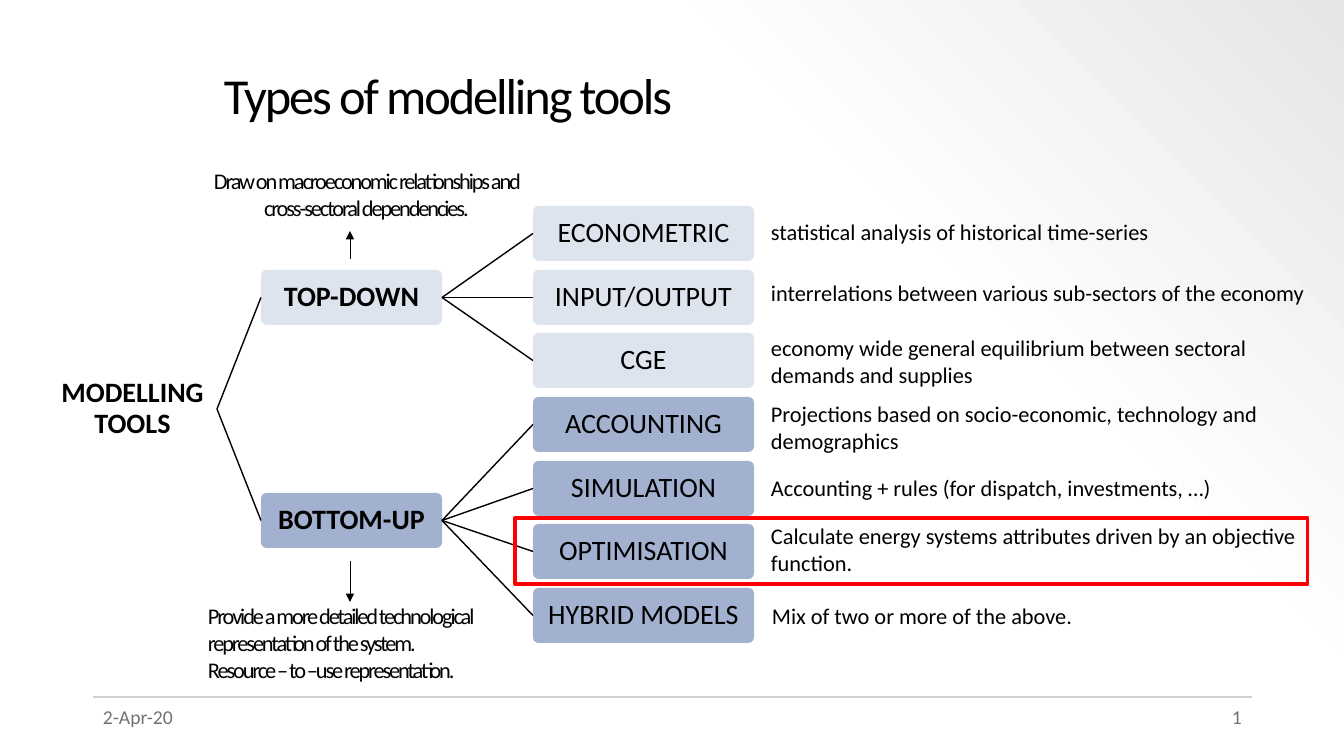
from pptx import Presentation
from pptx.dml.color import RGBColor
from pptx.enum.shapes import MSO_CONNECTOR as Link, MSO_SHAPE as Shape
from pptx.enum.text import MSO_ANCHOR as Anchor, MSO_AUTO_SIZE as AutoSize, PP_ALIGN as Align
from pptx.oxml import parse_xml
from pptx.oxml.ns import nsdecls, qn
from pptx.util import Pt
from lxml.etree import SubElement

EMU_PER_PIXEL = 914400 / 100.8
LEFT_SIDE, RIGHT_SIDE = 1, 3
BLACK, GREY, RULE_GREY, RED = "000000", "767171", "D0CECE", "FF0000"
WHITE, PALE_BLUE, MID_BLUE = "FFFFFF", "DEE4EE", "A1B1CF"

BRANCHES = [
    ("TOP-DOWN", 64, PALE_BLUE, ["ECONOMETRIC", "INPUT/OUTPUT", "CGE"]),
    ("BOTTOM-UP", 287, MID_BLUE,
     ["ACCOUNTING", "SIMULATION", "OPTIMISATION", "HYBRID MODELS"]),
]
DESCRIPTIONS = [
    (0, 0, 407, 27, "statistical analysis of historical time-series"),
    (0, 61, 565, 27, "interrelations between various sub-sectors of the economy"),
    (0, 116, 549, 54, "economy wide general equilibrium between sectoral demands and supplies"),
    (0, 182, 549, 54, "Projections based on socio-economic, technology and demographics"),
    (0, 256, 549, 27, "Accounting + rules (for dispatch, investments, …)"),
    (0, 304, 549, 54, "Calculate energy systems attributes driven by an objective function."),
    (1, 384, 549, 27, "Mix of two or more of the above."),
]


def px(*lengths):
    return [round(length * EMU_PER_PIXEL) for length in lengths]


def color(hex_value):
    return RGBColor.from_string(hex_value)


def apply(target, **values):
    for name, value in values.items():
        setattr(target, name, value)


def write(frame, lines, size, hex_value=BLACK, bold=False, align=Align.LEFT,
          leading=None, tracking=0, inset=(10, 0), anchor=Anchor.TOP):
    side, top = px(*inset)
    apply(frame, word_wrap=True, auto_size=AutoSize.NONE, vertical_anchor=anchor,
          margin_left=side, margin_right=side, margin_top=top, margin_bottom=top)
    for index, line in enumerate(lines):
        paragraph = frame.add_paragraph() if index else frame.paragraphs[0]
        apply(paragraph, alignment=align, line_spacing=leading)
        run = paragraph.add_run()
        run.text = line
        apply(run.font, name="Calibri", size=Pt(size), bold=bold)
        run.font.color.rgb = color(hex_value)
        if tracking:
            run.font._element.set("spc", str(round(tracking * 100)))


def add_text(slide, box, lines, size, **values):
    write(slide.shapes.add_textbox(*px(*box)).text_frame, lines, size, **values)


def add_line(slide, ends, hex_value, weight, arrow=False):
    line = slide.shapes.add_connector(Link.STRAIGHT, *px(*ends))
    line.line.color.rgb = color(hex_value)
    line.line.width = Pt(weight)
    if arrow:
        SubElement(line.line._get_or_add_ln(), qn("a:tailEnd"), type="triangle")
    SubElement(line._element.spPr, qn("a:effectLst"))
    return line


def add_node(slide, box, label, fill, bold=False):
    node = slide.shapes.add_shape(Shape.ROUNDED_RECTANGLE, *px(*box))
    node.adjustments[0] = 0.1
    node.shadow.inherit = False
    node.fill.solid()
    node.fill.fore_color.rgb = color(fill)
    node.line.fill.background()
    write(node.text_frame, [label], 20, bold=bold, align=Align.CENTER,
          leading=0.9, inset=(3, 3), anchor=Anchor.MIDDLE)
    return node


def join(slide, parent, child):
    edge = add_line(slide, (0, 0, 0, 0), BLACK, 1)
    edge.begin_connect(parent, RIGHT_SIDE)
    edge.end_connect(child, LEFT_SIDE)


def paint_background(slide):
    fill = slide.background.fill
    fill.gradient()
    fill.gradient_angle = 45
    stops = parse_xml(
        f'<a:gsLst {nsdecls("a")}>'
        '<a:gs pos="0"><a:srgbClr val="FFFFFF"/></a:gs>'
        '<a:gs pos="69000"><a:srgbClr val="FDFDFD"/></a:gs>'
        '<a:gs pos="100000"><a:srgbClr val="E7E6E6"><a:alpha val="50000"/></a:srgbClr></a:gs>'
        '</a:gsLst>')
    old_stops = next(slide._element.iter(qn("a:gsLst")))
    old_stops.getparent().replace(old_stops, stops)


def place_title(slide, box):
    left, top, width, height = px(*box)
    title = slide.shapes.title
    apply(title, left=left, top=top, width=width, height=height)
    write(title.text_frame, ["Types of modelling tools"], 36, leading=0.9,
          tracking=-1.5, inset=(10, 5), anchor=Anchor.MIDDLE)


def draw_tree(slide, box):
    left, top, width, height = box
    node_height, model_width = 55, 221
    model_count = sum(len(models) for *_, models in BRANCHES)
    step = (height - node_height) / (model_count - 1)
    root = add_node(slide, (left, top + 165, 169, 76), "MODELLING TOOLS", WHITE, True)
    row = 0
    for label, offset, fill, models in BRANCHES:
        branch = add_node(slide, (left + 213, top + offset, 181, node_height),
                          label, fill, True)
        join(slide, root, branch)
        for model in models:
            model_box = (left + width - model_width, top + round(row * step),
                         model_width, node_height)
            join(slide, branch, add_node(slide, model_box, model, fill))
            row += 1


def draw_branch_notes(slide, box):
    left, top, width, height = box
    arrow_x = left + 152
    add_text(slide, (left, top, width, 54),
             ["Draw on macroeconomic relationships and cross-sectoral dependencies."],
             16, align=Align.CENTER, tracking=-1.5)
    add_line(slide, (arrow_x, top + 92, arrow_x, top + 64), BLACK, 0.5, True)
    add_text(slide, (left, top + height - 81, 307, 81),
             ["Provide a more detailed technological representation of the system.",
              "Resource – to –use representation."], 16, tracking=-1.5)
    add_line(slide, (arrow_x, top + 394, arrow_x, top + 435), BLACK, 0.5, True)


def draw_descriptions(slide, box):
    left, top, _, _ = box
    for indent, offset, width, height, description in DESCRIPTIONS:
        add_text(slide, (left + indent, top + offset, width, height), [description], 16)


def draw_highlight(slide, box):
    highlight = slide.shapes.add_shape(Shape.RECTANGLE, *px(*box))
    highlight.shadow.inherit = False
    highlight.fill.background()
    highlight.line.color.rgb = color(RED)
    highlight.line.width = Pt(2.25)


def draw_footer(slide, box):
    left, top, width, height = box
    label_width = 302
    add_line(slide, (left, top, left + width, top), RULE_GREY, 1.5)
    for x, label, align in [(left, "2-Apr-20", Align.LEFT),
                            (left + width - label_width, "1", Align.RIGHT)]:
        add_text(slide, (x, top + 3, label_width, height - 3), [label], 14,
                 hex_value=GREY, align=align, inset=(10, 5))


deck = Presentation()
deck.slide_width, deck.slide_height = px(1344, 756)
slide = deck.slides.add_slide(deck.slide_layouts[5])
paint_background(slide)
place_title(slide, (214, 37, 1038, 123))
draw_tree(slide, (48, 206, 706, 437))
draw_branch_notes(slide, (198, 167, 337, 516))
draw_descriptions(slide, (761, 218, 565, 411))
draw_highlight(slide, (515, 518, 793, 66))
draw_footer(slide, (93, 697, 1159, 43))
deck.save("out.pptx")
